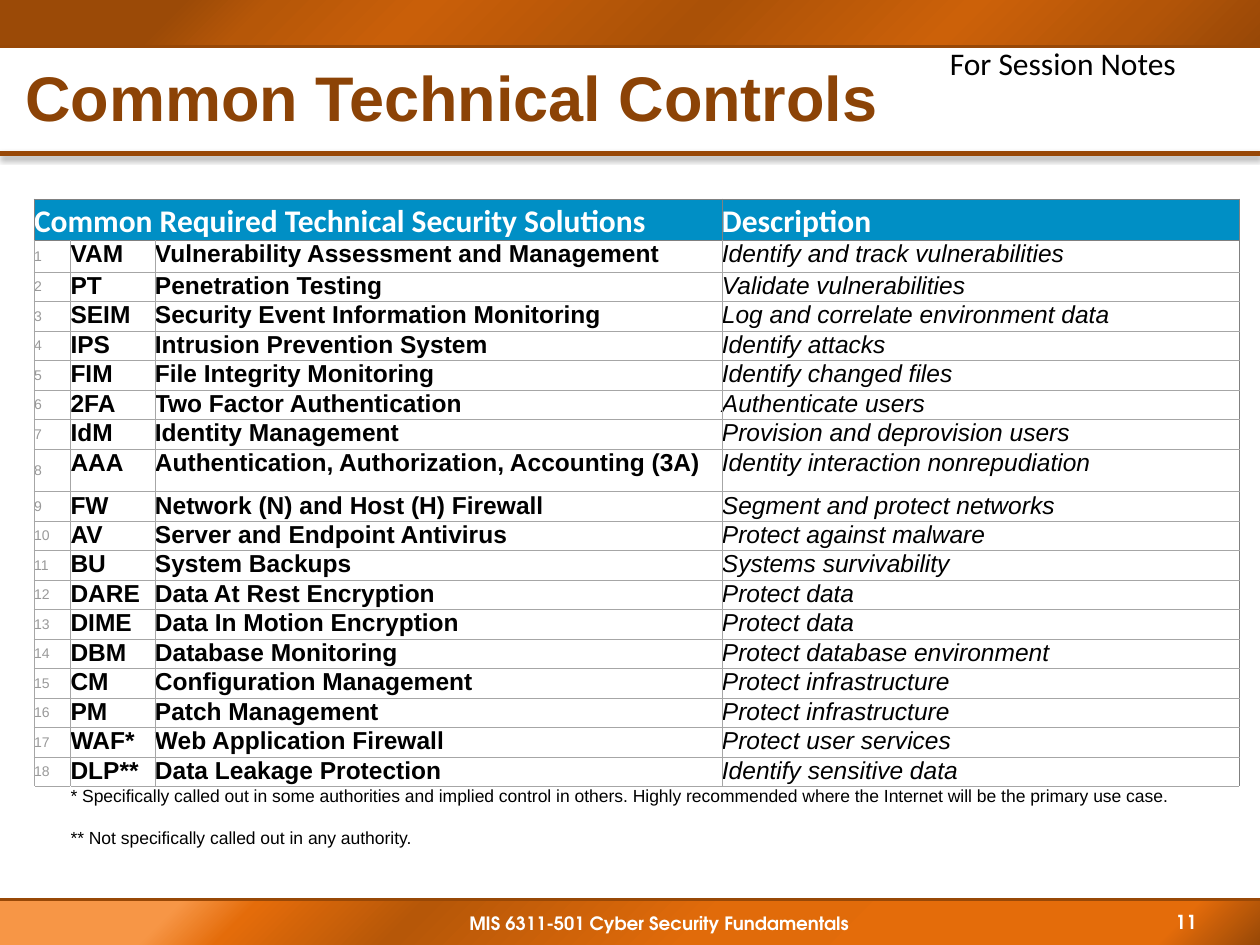
"""Build the Common Technical Controls slide."""
from lxml import etree
from pptx import Presentation
from pptx.dml.color import RGBColor
from pptx.enum.shapes import MSO_CONNECTOR, MSO_SHAPE
from pptx.enum.text import MSO_ANCHOR, MSO_AUTO_SIZE, PP_ALIGN
from pptx.oxml.ns import qn
from pptx.util import Inches, Pt

STRAIGHT = MSO_CONNECTOR.STRAIGHT
RECT = MSO_SHAPE.RECTANGLE
TOP, MIDDLE, BOTTOM = MSO_ANCHOR.TOP, MSO_ANCHOR.MIDDLE, MSO_ANCHOR.BOTTOM
LEFT, CENTER = PP_ALIGN.LEFT, PP_ALIGN.CENTER
NO_FIT = MSO_AUTO_SIZE.NONE

COLORS = {
    "white": "FFFFFF", "black": "000000", "title": "8C4306", "rule": "984807",
    "head": "008FC5", "number": "999999", "grid": "A6A6A6", "edge": "808080",
}
BANDS = [
    (7.14, [(14, "F79646"), (20, "E46C0A"), (33, "B65708"), (56, "E16B0A"),
            (78, "E46C0A"), (92, "E46C0A"), (100, "984807")]),
    (0, [(14, "9B4A07"), (21, "B65708"), (33, "C95F09"), (55, "AA5107"),
         (75, "CC6109"), (89, "B35508"), (100, "984807")]),
]
RULES = [(1.22, 3), (7.14, 1.5), (0.37, 1.5)]
LABELS = [
    ("MIS 6311-501 Cyber Security Fundamentals", (1.42, 7.19, 7.42, 0.29),
     "TeX Gyre Adventor", 10.5, "white", True, CENTER, TOP, 0.3),
    ("11", (9, 7.17, 0.83, 0.29),
     "TeX Gyre Adventor", 11, "white", True, CENTER, MIDDLE, 0.1),
    ("For Session Notes", (7.44, 0.3, 2.37, 0.44),
     "Calibri", 18, "black", False, LEFT, TOP, 0.1),
]
CONTROLS = [
    ("VAM", "Vulnerability Assessment and Management", "Identify and track vulnerabilities"),
    ("PT", "Penetration Testing", "Validate vulnerabilities"),
    ("SEIM", "Security Event Information Monitoring", "Log and correlate environment data"),
    ("IPS", "Intrusion Prevention System", "Identify attacks"),
    ("FIM", "File Integrity Monitoring", "Identify changed files"),
    ("2FA", "Two Factor Authentication", "Authenticate users"),
    ("IdM", "Identity Management", "Provision and deprovision users"),
    ("AAA", "Authentication, Authorization, Accounting (3A)", "Identity interaction nonrepudiation"),
    ("FW", "Network (N) and Host (H) Firewall", "Segment and protect networks"),
    ("AV", "Server and Endpoint Antivirus", "Protect against malware"),
    ("BU", "System Backups", "Systems survivability"),
    ("DARE", "Data At Rest Encryption", "Protect data"),
    ("DIME", "Data In Motion Encryption", "Protect data"),
    ("DBM", "Database Monitoring", "Protect database environment"),
    ("CM", "Configuration Management", "Protect infrastructure"),
    ("PM", "Patch Management", "Protect infrastructure"),
    ("WAF*", "Web Application Firewall", "Protect user services"),
    ("DLP**", "Data Leakage Protection", "Identify sensitive data"),
]
NOTES = [
    "* Specifically called out in some authorities and implied control in others. "
    "Highly recommended where the Internet will be the primary use case.",
    "** Not specifically called out in any authority.",
]
WIDTHS = [0.29, 0.67, 4.5, 4.11]
HEIGHTS = {0: 0.33, 1: 0.25, 8: 0.34, 19: 0.34}
STYLES = [
    (8, "number", False, False, MIDDLE), (14, "black", True, False, TOP),
    (14, "black", True, False, TOP), (14, "black", False, True, TOP),
]


def style(para, face, size, color, bold, italic=False):
    font = para.font
    font.name, font.size = face, Pt(size)
    font.bold, font.italic = bold, italic
    font.color.rgb = RGBColor.from_string(COLORS[color])


def border(cell, sides):
    props = cell._tc.get_or_add_tcPr()
    for at, (side, color) in enumerate(sides.items()):
        line = etree.Element(qn(f"a:ln{side}"), w=str(Pt(0.5)))
        fill = etree.SubElement(line, qn("a:solidFill"))
        etree.SubElement(fill, qn("a:srgbClr"), val=COLORS[color])
        props.insert(at, line)


prs = Presentation()
prs.slide_width, prs.slide_height = Inches(10), Inches(7.5)
slide = prs.slides.add_slide(prs.slide_layouts[5])
shapes = slide.shapes

for top, stops in BANDS:
    band = shapes.add_shape(RECT, 0, Inches(top), Inches(10), Inches(0.36))
    band.shadow.inherit = False
    band.line.fill.background()
    band.fill.gradient()
    band.fill.gradient_angle = 315
    ramp = band._element.spPr.find(".//" + qn("a:gsLst"))
    for stop in list(ramp):
        ramp.remove(stop)
    for pos, color in stops:
        stop = etree.SubElement(ramp, qn("a:gs"), pos=str(pos * 1000))
        etree.SubElement(stop, qn("a:srgbClr"), val=color)

for y, width in RULES:
    rule = shapes.add_connector(STRAIGHT, 0, Inches(y), Inches(10), Inches(y))
    rule.line.color.rgb = RGBColor.from_string(COLORS["rule"])
    rule.line.width = Pt(width)
    effect = etree.SubElement(rule._element.spPr, qn("a:effectLst"))
    if width == 3:
        shade = etree.SubElement(effect, qn("a:outerShdw"), blurRad=str(Pt(3.1)),
                                 dist=str(Pt(1.6)), dir="5400000", rotWithShape="0")
        tint = etree.SubElement(shade, qn("a:srgbClr"), val=COLORS["black"])
        etree.SubElement(tint, qn("a:alpha"), val="38000")

title = shapes.title
title.left, title.top = Inches(0), Inches(0.43)
title.width, title.height = Inches(10), Inches(0.75)
frame = title.text_frame
frame.text = "Common Technical Controls"
frame.auto_size, frame.vertical_anchor = NO_FIT, MIDDLE
frame.margin_left = Inches(0.2)
para = frame.paragraphs[0]
para.alignment, para.line_spacing = LEFT, 0.9
style(para, "Arial", 36, "title", True)

for text, place, face, size, color, bold, align, anchor, inset in LABELS:
    frame = shapes.add_textbox(*map(Inches, place)).text_frame
    frame.text = text
    frame.word_wrap, frame.vertical_anchor = True, anchor
    frame.margin_left = Inches(inset)
    para = frame.paragraphs[0]
    para.alignment = align
    style(para, face, size, color, bold)

rows = [("Common Required Technical Security Solutions", "", "", "Description")]
rows += [(str(num), *item) for num, item in enumerate(CONTROLS, 1)]
rows += [("", note, "", "") for note in NOTES]
last = len(CONTROLS)
table = shapes.add_table(len(rows), 4, Inches(0.27), Inches(1.58),
                         Inches(9.57), Inches(5.21)).table
table.first_row = table.horz_banding = False
for col, width in zip(table.columns, WIDTHS):
    col.width = Inches(width)
table.cell(0, 0).merge(table.cell(0, 2))
table.cell(last + 1, 1).merge(table.cell(last + 1, 3))
table.cell(last + 2, 1).merge(table.cell(last + 2, 2))

for r, row in enumerate(rows):
    table.rows[r].height = Inches(HEIGHTS.get(r, 0.21))
    for c, text in enumerate(row):
        cell = table.cell(r, c)
        cell.margin_left = cell.margin_right = 0
        cell.margin_top = cell.margin_bottom = 0
        cell.fill.solid()
        cell.fill.fore_color.rgb = RGBColor.from_string(COLORS["white" if r else "head"])
        if text:
            cell.text = text
        para = cell.text_frame.paragraphs[0]
        if r == 0:
            cell.vertical_anchor = BOTTOM
            style(para, "Calibri", 18, "white", True)
            border(cell, dict.fromkeys("LRTB", "edge"))
        elif r <= last:
            size, color, bold, italic, cell.vertical_anchor = STYLES[c]
            style(para, "Arial", size, color, bold, italic)
            border(cell, {"L": "grid", "R": "edge" if c == 3 else "grid",
                          "T": "edge" if r == 1 else "grid", "B": "grid"})
        else:
            style(para, "Arial", 10, "black", False)
            if r == last + 1:
                border(cell, {"T": "grid"})

prs.save("out.pptx")
